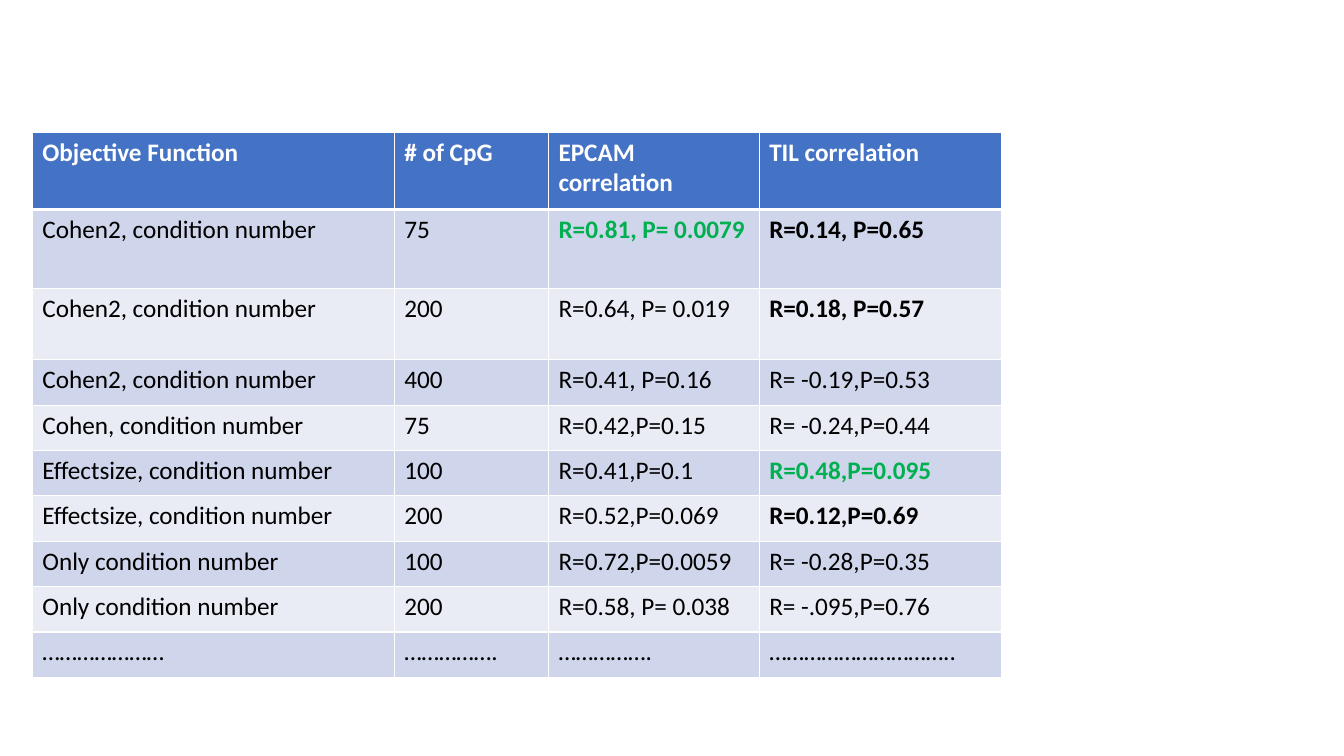
from dataclasses import dataclass

from lxml.etree import SubElement
from pptx import Presentation
from pptx.dml.color import RGBColor
from pptx.oxml.ns import qn
from pptx.util import Inches, Pt


@dataclass(frozen=True)
class Theme:
    font: str = "Calibri"
    size: float = 18
    head: str = "4472C4"
    bands: tuple = ("CFD5EA", "E9EBF5")
    white: str = "FFFFFF"
    black: str = "000000"
    green: str = "00B050"


THEME = Theme()
WIDTHS = (3.59, 1.53, 2.09, 2.4)
HEIGHTS = (0.77, 0.78, 0.71) + (0.45,) * 7

ROWS = (
    ("Objective Function", "# of CpG", "EPCAM correlation", "TIL correlation"),
    ("Cohen2, condition number", "75", "R=0.81, P= 0.0079", "R=0.14, P=0.65"),
    ("Cohen2, condition number", "200", "R=0.64, P= 0.019", "R=0.18, P=0.57"),
    ("Cohen2, condition number", "400", "R=0.41, P=0.16", "R= -0.19,P=0.53"),
    ("Cohen, condition number", "75", "R=0.42,P=0.15", "R= -0.24,P=0.44"),
    ("Effectsize, condition number", "100", "R=0.41,P=0.1", "R=0.48,P=0.095"),
    ("Effectsize, condition number", "200", "R=0.52,P=0.069", "R=0.12,P=0.69"),
    ("Only condition number", "100", "R=0.72,P=0.0059", "R= -0.28,P=0.35"),
    ("Only condition number", "200", "R=0.58, P= 0.038", "R= -.095,P=0.76"),
    ("…………………", "…………….", "…………….", "…………………………..",),
)
# Bold results by (row, column), with their colours
BOLD = {
    (1, 2): THEME.green,
    (1, 3): THEME.black,
    (2, 3): THEME.black,
    (5, 3): THEME.green,
    (6, 3): THEME.black,
}


def set_edges(cell, top, bottom):
    """Draw white cell borders; top and bottom are widths in points."""
    props = cell._tc.get_or_add_tcPr()
    edges = (("L", 1), ("R", 1), ("T", top), ("B", bottom))
    for index, (side, width) in enumerate(edges):
        line = SubElement(props, qn(f"a:ln{side}"), w=str(Pt(width)))
        fill = SubElement(line, qn("a:solidFill"))
        SubElement(fill, qn("a:srgbClr"), val=THEME.white)
        props.insert(index, line)


def fill_cell(cell, text, fill, color, bold):
    cell.text = text
    cell.fill.solid()
    cell.fill.fore_color.rgb = RGBColor.from_string(fill)
    font = cell.text_frame.paragraphs[0].font
    font.name = THEME.font
    font.size = Pt(THEME.size)
    font.bold = bold
    font.color.rgb = RGBColor.from_string(color)


def add_results(slide, left, top):
    frame = slide.shapes.add_table(
        len(ROWS), len(WIDTHS), Inches(left), Inches(top),
        Inches(sum(WIDTHS)), Inches(sum(HEIGHTS)))
    table = frame.table
    for column, width in zip(table.columns, WIDTHS):
        column.width = Inches(width)
    for row, height in zip(table.rows, HEIGHTS):
        row.height = Inches(height)
    for r, texts in enumerate(ROWS):
        head = r == 0
        fill = THEME.head if head else THEME.bands[(r - 1) % 2]
        base = THEME.white if head else THEME.black
        for c, text in enumerate(texts):
            cell = table.cell(r, c)
            color = BOLD.get((r, c), base)
            fill_cell(cell, text, fill, color, head or (r, c) in BOLD)
            set_edges(cell, 3 if r == 1 else 1, 3 if head else 1)


def main():
    deck = Presentation()
    deck.slide_width = Inches(13.33)
    deck.slide_height = Inches(7.5)
    blank = deck.slide_layouts[6]
    add_results(deck.slides.add_slide(blank), 0.32, 1.31)
    deck.save("out.pptx")


if __name__ == "__main__":
    main()
